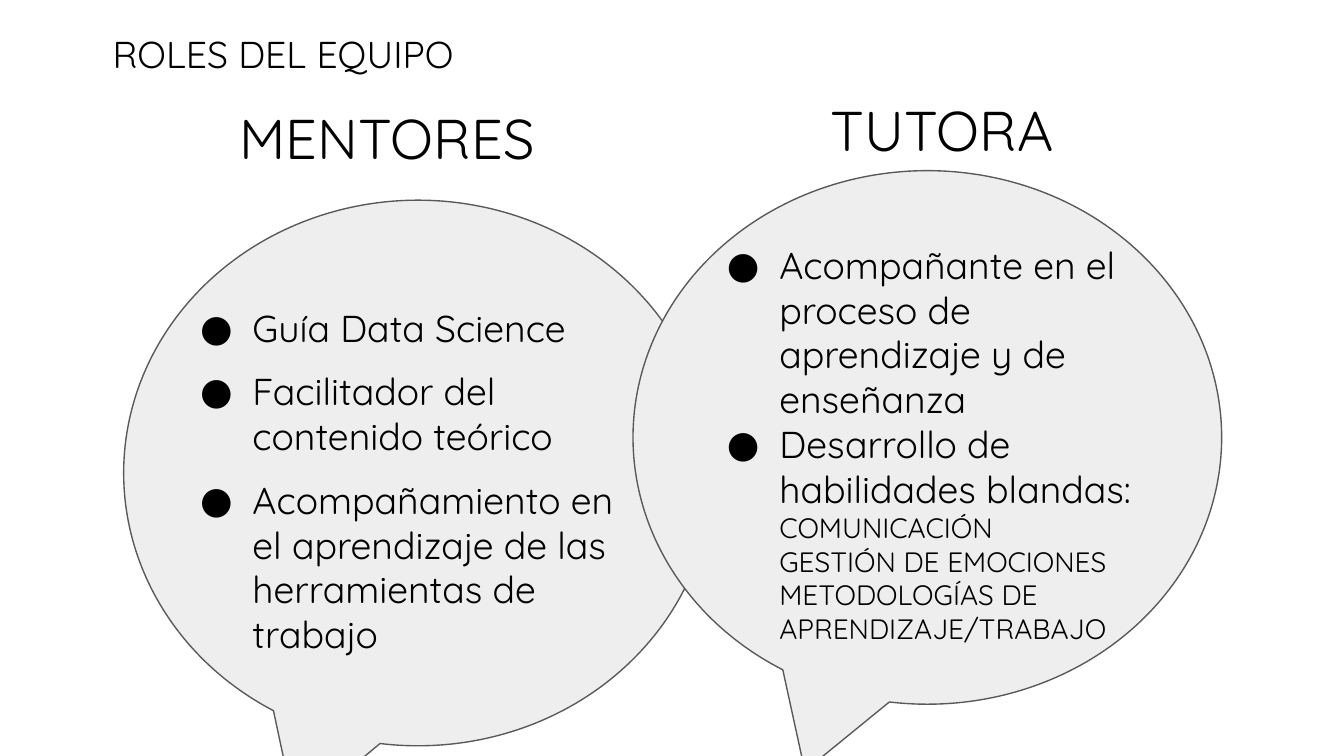
from pptx import Presentation
from pptx.dml.color import RGBColor
from pptx.enum.shapes import MSO_SHAPE
from pptx.enum.text import MSO_ANCHOR, PP_ALIGN
from pptx.oxml.ns import qn
from pptx.util import Inches, Pt
from lxml import etree

BLACK = RGBColor(0x00, 0x00, 0x00)
BUBBLE_FILL = RGBColor(0xEE, 0xEE, 0xEE)
BUBBLE_LINE = RGBColor(0x59, 0x59, 0x59)
FONT = "Quicksand"
INSET = Inches(0.1)

MENTOR_ROLES = [
    [("Guía Data Science", 20)],
    [("Facilitador del contenido teórico", 20)],
    [("Acompañamiento en el aprendizaje de las herramientas de trabajo", 20)],
]
TUTOR_ROLES = [
    [("Acompañante en el proceso de aprendizaje y de enseñanza", 20)],
    [
        ("Desarrollo de habilidades blandas:", 20),
        ("COMUNICACIÓN", 15),
        ("GESTIÓN DE EMOCIONES", 15),
        ("METODOLOGÍAS DE APRENDIZAJE/TRABAJO", 15),
    ],
]


def add_bubble(slide, left, top, width, height):
    bubble = slide.shapes.add_shape(
        MSO_SHAPE.OVAL_CALLOUT,
        Inches(left), Inches(top), Inches(width), Inches(height))
    bubble.adjustments[0] = -0.208
    bubble.adjustments[1] = 0.625
    bubble.shadow.inherit = False
    bubble.fill.solid()
    bubble.fill.fore_color.rgb = BUBBLE_FILL
    bubble.line.color.rgb = BUBBLE_LINE
    bubble.line.width = Pt(0.75)


def add_text_frame(slide, left, top, width, height):
    box = slide.shapes.add_textbox(
        Inches(left), Inches(top), Inches(width), Inches(height))
    frame = box.text_frame
    frame.word_wrap = True
    frame.margin_left = frame.margin_right = INSET
    frame.margin_top = frame.margin_bottom = INSET
    return frame


def add_run(paragraph, text, size):
    run = paragraph.add_run()
    run.text = text
    run.font.name = FONT
    run.font.size = Pt(size)
    run.font.color.rgb = BLACK


def add_heading(slide, text, left, top, width):
    frame = add_text_frame(slide, left, top, width, 0.7)
    frame.vertical_anchor = MSO_ANCHOR.MIDDLE
    frame.paragraphs[0].alignment = PP_ALIGN.CENTER
    add_run(frame.paragraphs[0], text, 30)


def set_bullet(paragraph):
    properties = paragraph._p.get_or_add_pPr()
    properties.set("marL", str(Inches(0.5)))
    properties.set("indent", str(Inches(-0.39)))
    color = etree.SubElement(properties, qn("a:buClr"))
    etree.SubElement(color, qn("a:srgbClr"), val=str(BLACK))
    etree.SubElement(properties, qn("a:buFont"), typeface=FONT)
    etree.SubElement(properties, qn("a:buChar"), char="●")


def add_roles(slide, roles, left, top, width, height, gap=0):
    """Bulleted roles, each a list of (line, size), with a gap in points."""
    frame = add_text_frame(slide, left, top, width, height)
    for index, lines in enumerate(roles):
        paragraph = frame.add_paragraph() if index else frame.paragraphs[0]
        paragraph.space_before = Pt(gap if index else 0)
        set_bullet(paragraph)
        for number, (text, size) in enumerate(lines):
            if number:
                paragraph.add_line_break()
            add_run(paragraph, text, size)


def main():
    presentation = Presentation()
    presentation.slide_width = Inches(10)
    presentation.slide_height = Inches(10) * 9 // 16
    slide = presentation.slides.add_slide(presentation.slide_layouts[6])

    add_bubble(slide, 0.92, 1.49, 4.38, 4.06)
    add_bubble(slide, 4.71, 1.27, 4.38, 3.97)
    add_heading(slide, "TUTORA", 5.81, 0.61, 2.4)
    add_heading(slide, "MENTORES", 1.58, 0.67, 2.6)
    add_roles(slide, MENTOR_ROLES, 1.28, 2.17, 3.39, 2.77, gap=10)
    add_roles(slide, TUTOR_ROLES, 5.2, 1.7, 3.39, 3.21)
    title = add_text_frame(slide, 0.74, 0.13, 4.38, 0.88)
    add_run(title.paragraphs[0], "ROLES DEL EQUIPO", 20)

    presentation.save("out.pptx")


if __name__ == "__main__":
    main()
